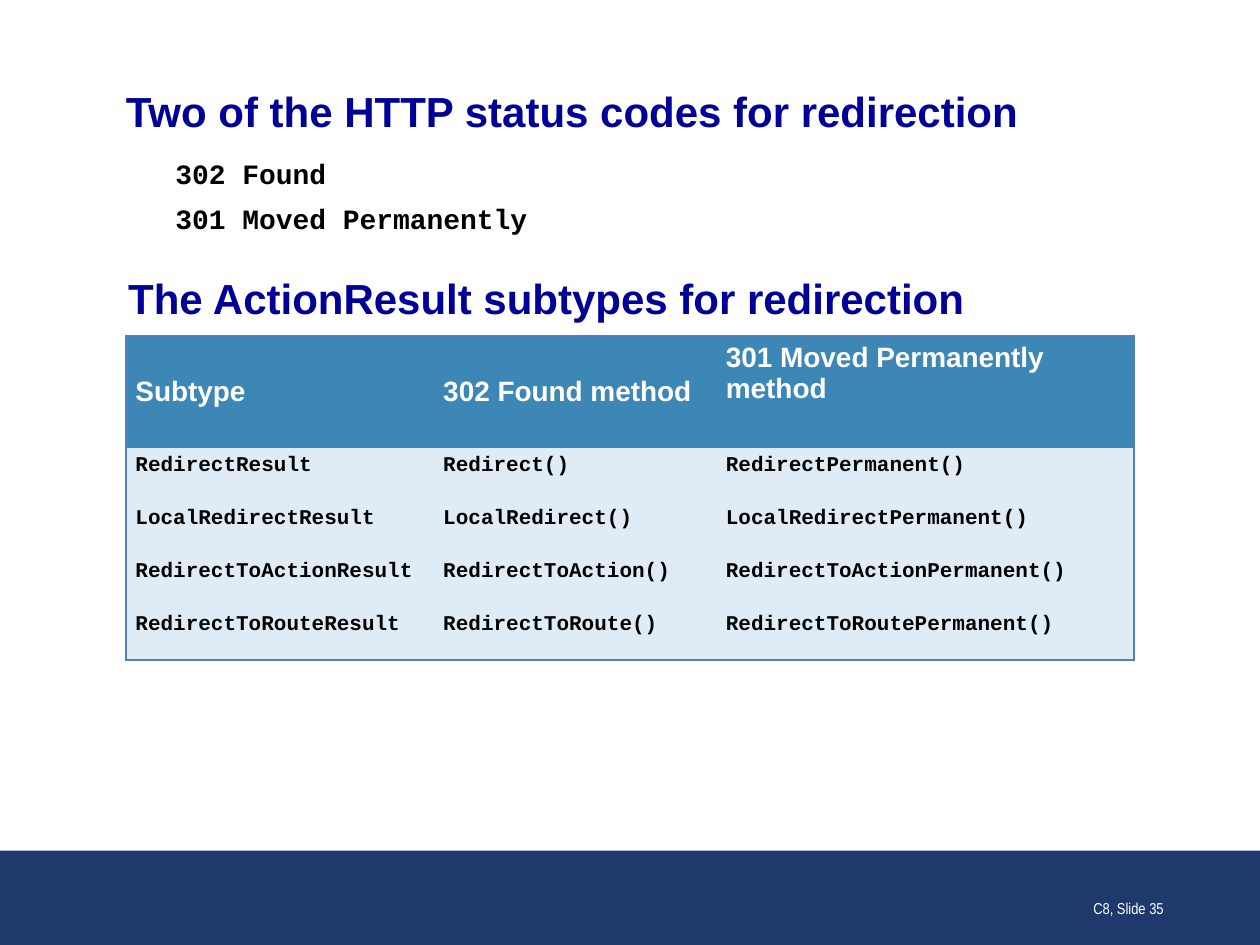
import lxml.etree
import pptx
import pptx.dml.color
import pptx.enum.shapes
import pptx.enum.text
import pptx.oxml.ns
import pptx.util

Pt = pptx.util.Pt
RGBColor = pptx.dml.color.RGBColor
Anchor = pptx.enum.text.MSO_ANCHOR

NAVY = RGBColor(0x20, 0x39, 0x6D)
HEADING_BLUE = RGBColor(0x00, 0x00, 0x99)
HEADER_FILL = RGBColor(0x3D, 0x87, 0xB7)
ROW_FILL = RGBColor(0xDF, 0xEC, 0xF5)
BORDER_BLUE = RGBColor(0x4F, 0x81, 0xBD)
BLACK = RGBColor(0, 0, 0)
WHITE = RGBColor(0xFF, 0xFF, 0xFF)

COLUMN_WIDTHS = (175.9, 161.5, 238.6)
ROW_HEIGHTS = (64, 30.3, 30.3, 30.3, 30.3)
TABLE_ROWS = (
    ("\nSubtype", "\n302 Found method", "301 Moved Permanently method"),
    ("RedirectResult", "Redirect()", "RedirectPermanent()"),
    ("LocalRedirectResult", "LocalRedirect()", "LocalRedirectPermanent()"),
    ("RedirectToActionResult", "RedirectToAction()", "RedirectToActionPermanent()"),
    ("RedirectToRouteResult", "RedirectToRoute()", "RedirectToRoutePermanent()"),
)


def write(paragraph, text, font_name, size, color, bold=True, before=0, after=6):
    paragraph.space_before = Pt(before)
    paragraph.space_after = Pt(after)
    for index, line in enumerate(text.split("\n")):
        if index:
            paragraph.add_line_break()
        if line:
            run = paragraph.add_run()
            run.text = line
            run.font.name = font_name
            run.font.size = Pt(size)
            run.font.bold = bold
            run.font.color.rgb = color


def add_text_frame(slide, left, top, width, height, anchor=Anchor.TOP, margins=(7.2, 3.6)):
    shape = slide.shapes.add_textbox(Pt(left), Pt(top), Pt(width), Pt(height))
    frame = shape.text_frame
    frame.word_wrap = True
    frame.vertical_anchor = anchor
    frame.margin_left = frame.margin_right = Pt(margins[0])
    frame.margin_top = frame.margin_bottom = Pt(margins[1])
    return frame


def add_footer(slide):
    band = slide.shapes.add_shape(
        pptx.enum.shapes.MSO_SHAPE.RECTANGLE, Pt(0), Pt(486), Pt(720), Pt(54))
    band.shadow.inherit = False
    band.fill.solid()
    band.fill.fore_color.rgb = NAVY
    band.line.fill.background()
    frame = add_text_frame(slide, 522, 492, 150, 36, Anchor.BOTTOM)
    paragraph = frame.paragraphs[0]
    paragraph.alignment = pptx.enum.text.PP_ALIGN.RIGHT
    write(paragraph, "C8, Slide 35", "Arial Narrow", 9, WHITE, bold=False, after=0)


def add_body(slide):
    frame = add_text_frame(slide, 66.2, 85.7, 582, 174)
    codes = ("302 Found", "301 Moved Permanently")
    for index, code in enumerate(codes):
        paragraph = frame.add_paragraph() if index else frame.paragraphs[0]
        paragraph._p.get_or_add_pPr().set("marL", str(Pt(27)))
        write(paragraph, code, "Courier New", 16, BLACK, before=1)
    write(frame.add_paragraph(), "The ActionResult subtypes for redirection",
          "Arial", 24, HEADING_BLUE, before=15)


def set_borders(cell, visible_sides):
    properties = cell._tc.get_or_add_tcPr()
    for side in "LRTB":
        line = lxml.etree.SubElement(properties, pptx.oxml.ns.qn("a:ln" + side), w=str(Pt(1)))
        if side in visible_sides:
            fill = lxml.etree.SubElement(line, pptx.oxml.ns.qn("a:solidFill"))
            lxml.etree.SubElement(fill, pptx.oxml.ns.qn("a:srgbClr"), val=str(BORDER_BLUE))
        else:
            lxml.etree.SubElement(line, pptx.oxml.ns.qn("a:noFill"))


def fill_cell(cell, text, row, column):
    last_row, last_column = len(ROW_HEIGHTS) - 1, len(COLUMN_WIDTHS) - 1
    edges = {"L": column == 0, "R": column == last_column, "T": row == 0, "B": row == last_row}
    set_borders(cell, [side for side, outer in edges.items() if outer])
    cell.fill.solid()
    cell.fill.fore_color.rgb = ROW_FILL if row else HEADER_FILL
    cell.margin_left = cell.margin_right = Pt(5.4)
    cell.margin_top = cell.margin_bottom = Pt(3.6)
    font_name, size, color = ("Courier New", 12, BLACK) if row else ("Arial", 16, WHITE)
    write(cell.text_frame.paragraphs[0], text, font_name, size, color,
          before=6, after=9 if row == last_row else 6)
    if text.startswith("\n"):
        line_break = cell.text_frame.paragraphs[0]._p.find(pptx.oxml.ns.qn("a:br"))
        break_properties = lxml.etree.SubElement(line_break, pptx.oxml.ns.qn("a:rPr"))
        break_properties.set("sz", str(size * 100))


def add_subtype_table(slide):
    table = slide.shapes.add_table(
        len(ROW_HEIGHTS), len(COLUMN_WIDTHS), Pt(72), Pt(192),
        Pt(sum(COLUMN_WIDTHS)), Pt(sum(ROW_HEIGHTS))).table
    table.first_row = table.horz_banding = False
    for column, width in zip(table.columns, COLUMN_WIDTHS):
        column.width = Pt(width)
    for row, height in zip(table.rows, ROW_HEIGHTS):
        row.height = Pt(height)
    for row, texts in enumerate(TABLE_ROWS):
        for column, text in enumerate(texts):
            fill_cell(table.cell(row, column), text, row, column)


def main():
    """Build the slide on HTTP redirection and save it."""
    presentation = pptx.Presentation()
    presentation.slide_width, presentation.slide_height = Pt(720), Pt(540)
    slide = presentation.slides.add_slide(presentation.slide_layouts[6])
    add_footer(slide)
    title = add_text_frame(slide, 72, 49, 576, 29, Anchor.MIDDLE, (0, 0))
    write(title.paragraphs[0], "Two of the HTTP status codes for redirection",
          "Arial", 24, HEADING_BLUE)
    add_body(slide)
    add_subtype_table(slide)
    presentation.save("out.pptx")


if __name__ == "__main__":
    main()
